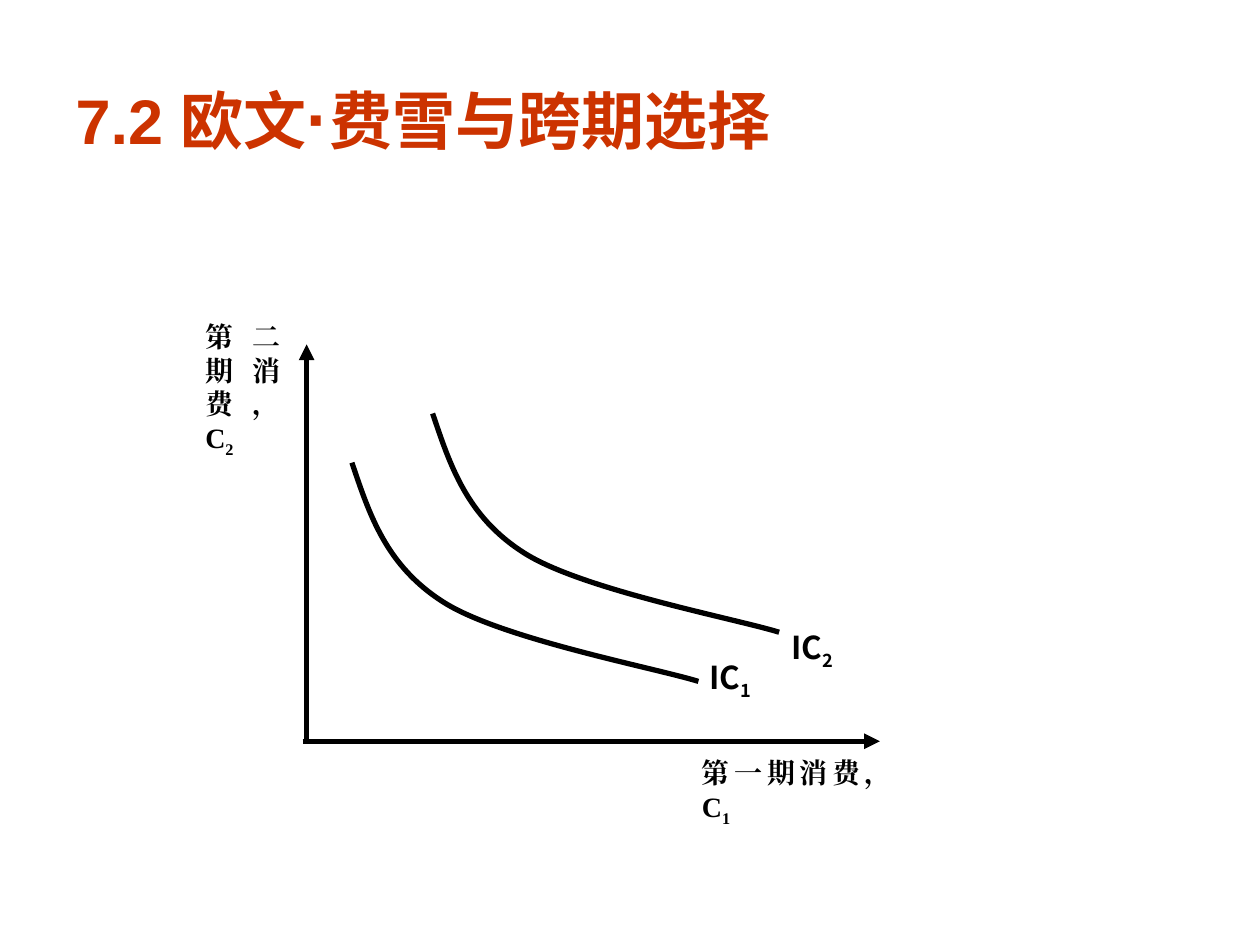
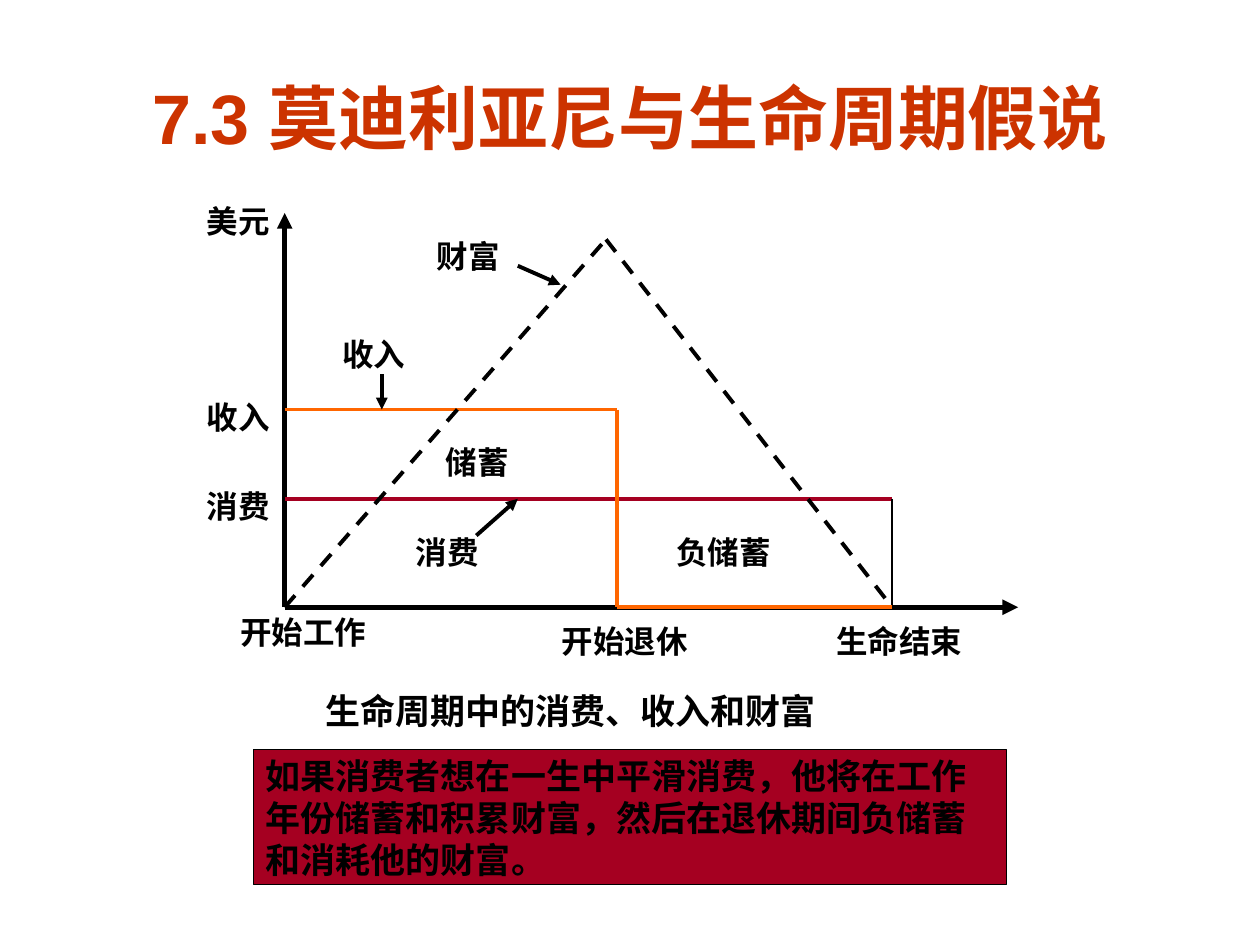
import pptx
import pptx.util
import pptx.dml.color
import pptx.enum.text
import pptx.enum.shapes
import pptx.enum.dml
import pptx.oxml.ns
import pptx.oxml.xmlchemy

Pt = pptx.util.Pt
qn = pptx.oxml.ns.qn
new_element = pptx.oxml.xmlchemy.OxmlElement
ALIGN = pptx.enum.text.PP_ALIGN
ANCHOR = pptx.enum.text.MSO_ANCHOR
AUTO = pptx.enum.text.MSO_AUTO_SIZE
DASH = pptx.enum.dml.MSO_LINE.DASH
RED, ORANGE, CRIMSON, BLACK = "CC3300", "FF6600", "A50021", "000000"
TITLE_BOX = (36, 21.6, 648, 90)


def rgb(value):
    """Turn a hex string into a colour."""
    return pptx.dml.color.RGBColor.from_string(value)


def add_run(p, text, size, font="Arial", color=BLACK, sub=False):
    """Append a bold run, as a subscript if asked."""
    r = p.add_run()
    r.text = text
    for name, value in {"size": Pt(size), "name": font, "bold": True}.items():
        setattr(r.font, name, value)
    r.font.color.rgb = rgb(color)
    rPr = r.font._element
    ea = new_element("a:ea")
    ea.set("typeface", font)
    rPr.find(qn("a:latin")).addnext(ea)
    if sub:
        rPr.set("baseline", "-25000")


def add_title(prs, runs, align):
    """Add a title-only slide with its title made of (text, size) runs."""
    slide = prs.slides.add_slide(prs.slide_layouts[5])
    sp = slide.shapes.title
    for name, value in zip(("left", "top", "width", "height"), TITLE_BOX):
        setattr(sp, name, Pt(value))
    tf = sp.text_frame
    tf.auto_size, tf.vertical_anchor = AUTO.NONE, ANCHOR.MIDDLE
    tf.paragraphs[0].alignment = align
    for text, size in runs:
        add_run(tf.paragraphs[0], text, size, color=RED)
    return slide


def add_label(slide, box, text, size=18, font="Arial", sub="", align=ALIGN.LEFT, wrap=False):
    """Add a text box holding one line and an optional subscript."""
    tf = slide.shapes.add_textbox(*map(Pt, box)).text_frame
    tf.word_wrap = wrap
    p = tf.paragraphs[0]
    p.alignment = align
    add_run(p, text, size, font)
    if sub:
        add_run(p, sub, size, font, sub=True)
    return tf


def add_line(slide, box, start, end, width=2.25, color=BLACK, arrow=False, dash=None):
    """Draw a straight line between two points of a box."""
    points = [Pt(box[i] + point[i]) for point in (start, end) for i in (0, 1)]
    sp = slide.shapes.add_connector(pptx.enum.shapes.MSO_CONNECTOR.STRAIGHT, *points)
    for name, value in {"width": Pt(width), "dash_style": dash}.items():
        setattr(sp.line, name, value)
    sp.line.color.rgb = rgb(color)
    if arrow:
        tail = new_element("a:tailEnd")
        tail.set("type", "triangle")
        sp.line._ln.append(tail)
    sp._element.spPr.append(new_element("a:effectLst"))


def add_curve(slide, start, controls):
    """Draw a smooth open curve from control points relative to its start."""
    x, y = start
    fb = slide.shapes.build_freeform(Pt(x), Pt(y))
    fb.add_line_segments([(Pt(x + dx), Pt(y + dy)) for dx, dy in controls], close=False)
    sp = fb.convert_to_shape()
    segments = list(sp._element.iter(qn("a:lnTo")))
    for i in range(0, len(segments), 3):
        bezier = new_element("a:cubicBezTo")
        segments[i].addprevious(bezier)
        for segment in segments[i:i + 3]:
            bezier.append(segment[0])
            segment.getparent().remove(segment)
    sp.shadow.inherit = False
    sp.fill.background()
    sp.line.color.rgb, sp.line.width = rgb(BLACK), Pt(3)


def add_indifference_diagram(slide, box):
    """Draw the two-period axes and two indifference curves."""
    left, top = box
    add_line(slide, box, (62.8, 244.4), (392.6, 244.4), 3, arrow=True)
    add_line(slide, box, (65, 244.4), (65, 17.6), 3, arrow=True)
    bend = [(10, 29.5), (19.4, 59), (52.6, 79.9), (85.7, 100.8), (173.5, 117.4), (198, 125)]
    curves = [("1", (90.9, 85.2), (288.2, 193.2)), ("2", (137, 57.1), (335, 176))]
    for _, (x, y), _ in curves:
        add_curve(slide, (left + x, top + y), bend)
    axes = [("第二期消费，C", "2", (0, 0, 57, 85)), ("第一期消费，C", "1", (283.8, 249.2, 107.3, 59))]
    for text, sub, (x, y, w, h) in axes:
        add_label(slide, (left + x, top + y, w, h), text, 16, "Times New Roman", sub, ALIGN.JUSTIFY, True)
    for sub, _, (x, y) in curves:
        add_label(slide, (left + x, top + y, 38.9, 31.7), "IC", font="Noto Sans CJK SC", sub=sub)


def add_life_cycle_diagram(slide, box):
    """Draw income, consumption and wealth over a lifetime."""
    left, top = box
    start, retire, death = 51.7, 241.8, 398.8
    income, consumption, base = 122, 173.1, 235
    peak = (235.3, 24.8)
    for end in ((470.8, base), (start, 9.7)):
        add_line(slide, box, (start, base), end, 3, arrow=True)
    add_line(slide, box, (start, income), (retire, income), color=ORANGE)
    add_line(slide, box, (start, consumption), (death, consumption), color=CRIMSON)
    add_line(slide, box, (retire, income), (retire, base), color=ORANGE)
    add_line(slide, box, (death, consumption), (death, base), 1.5)
    add_line(slide, box, (start, base), peak, dash=DASH)
    add_line(slide, box, peak, (death, base), dash=DASH)
    add_line(slide, box, (retire, base), (death, base), color=ORANGE)
    pointers = [((184.9, 39.9), (209.4, 50.7)), ((107.2, 101.8), (107.2, income)),
                ((161.2, 194), (184.9, consumption))]
    for tail, head in pointers:
        add_line(slide, box, tail, head, arrow=True)
    labels = [("美元", 0, 0), ("收入", 0, 112), ("消费", 0, 163), ("财富", 131.6, 19.8),
              ("收入", 77.6, 75.9), ("储蓄", 136.7, 137.8), ("消费", 119.4, 189),
              ("负储蓄", 268.4, 189), ("开始工作", 19.3, 235), ("开始退休", 202.9, 240.1),
              ("生命结束", 359.9, 240.1)]
    for text, x, y in labels:
        add_label(slide, (left + x, top + y, 14.4 + 18 * len(text), 28.8), text)
    caption = (left + 47.4, top + 271, 335.5, 46)
    tf = add_label(slide, caption, "生命周期中的消费、收入和财富", 20, align=ALIGN.CENTER)
    tf.vertical_anchor = ANCHOR.MIDDLE


def add_note(slide, box, lines):
    """Add the filled conclusion box."""
    sp = slide.shapes.add_shape(pptx.enum.shapes.MSO_SHAPE.RECTANGLE, *map(Pt, box))
    sp.shadow.inherit = False
    sp.fill.solid()
    sp.fill.fore_color.rgb = rgb(CRIMSON)
    sp.line.color.rgb, sp.line.width = rgb(BLACK), Pt(0.75)
    tf = sp.text_frame
    tf.word_wrap, tf.vertical_anchor = True, ANCHOR.MIDDLE
    for i, line in enumerate(lines):
        p = tf.add_paragraph() if i else tf.paragraphs[0]
        p.alignment = ALIGN.LEFT
        add_run(p, line, 20)


def main():
    """Build both slides and save them."""
    prs = pptx.Presentation()
    prs.slide_width, prs.slide_height = Pt(720), Pt(540)
    slide = add_title(prs, [("7.2 欧文", 36), ("·", 40), ("费雪与跨期选择", 36)], ALIGN.LEFT)
    add_indifference_diagram(slide, (110.2, 179.2))
    slide = add_title(prs, [("7.3 莫迪利亚尼与生命周期假说", 40)], ALIGN.CENTER)
    add_life_cycle_diagram(slide, (111, 112))
    add_note(slide, (144.7, 428.4, 430.6, 77),
             ["如果消费者想在一生中平滑消费，他将在工作",
              "年份储蓄和积累财富，然后在退休期间负储蓄",
              "和消耗他的财富。"])
    prs.save("out.pptx")


if __name__ == "__main__":
    main()
